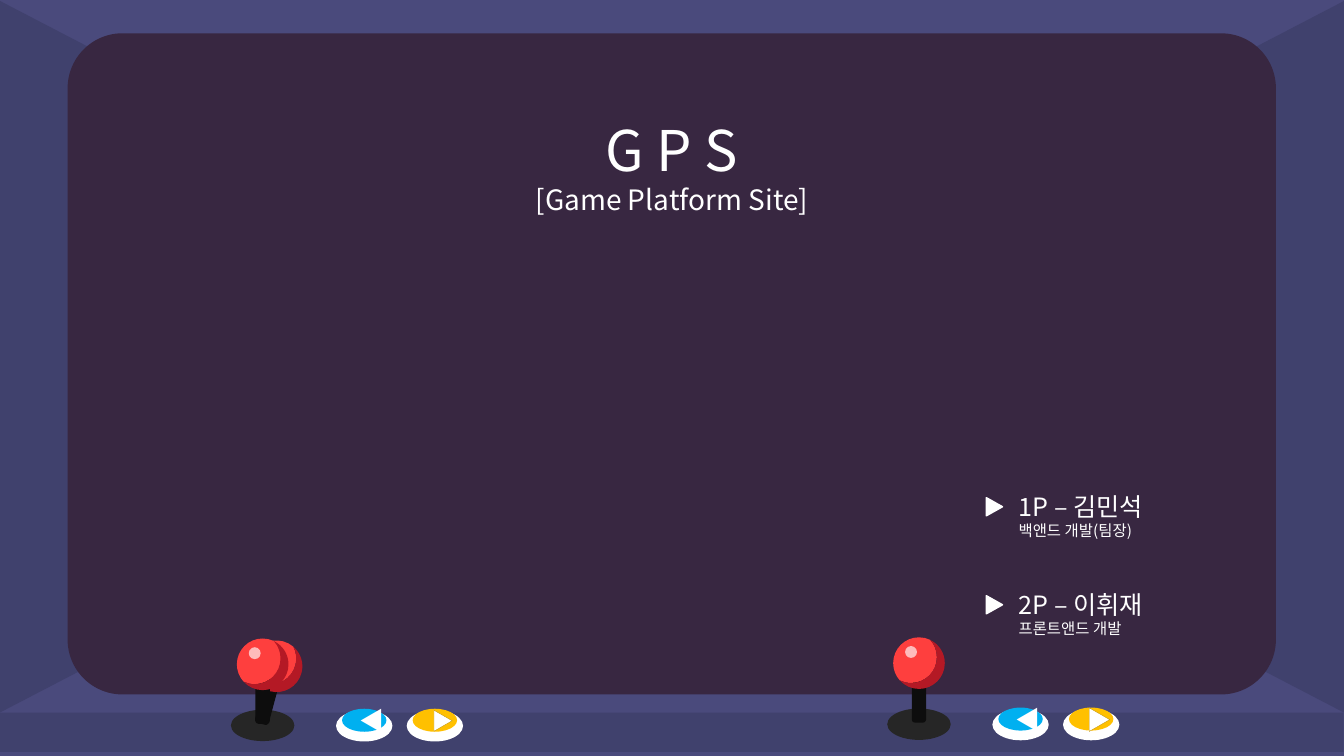
import math

from pptx import Presentation, util as u
from pptx.dml.color import RGBColor
from pptx.enum import shapes, text
from pptx.oxml.ns import qn
from lxml import etree

FONT = "Noto Sans CJK KR"
WHITE, WALL, FRAME, SCREEN = "FFFFFF", "40416D", "4A4A7C", "382741"
RED, DARK_RED, BASE, STICK = "FE3F3E", "B41925", "262626", "0D0D0D"
BLUE, YELLOW, OUTLINE = "00B0F0", "FFC000", "BF9000"
MS = shapes.MSO_SHAPE
BALL_R = 0.65
SHADE_X, SHADE_Y = -0.2, -0.15


def rgb(value):
    """Turn a hex string into a colour."""
    return RGBColor.from_string(value)


def paint(sp, fill, line=None, alpha=None):
    """Fill a shape, set its outline and remove its shadow."""
    sp.shadow.inherit = False
    sp.fill.solid()
    sp.fill.fore_color.rgb = rgb(fill)
    if alpha:
        color = sp.fill._xPr.find(".//" + qn("a:srgbClr"))
        etree.SubElement(color, qn("a:alpha"), val=str(alpha * 1000))
    if line:
        sp.line.color.rgb = rgb(line)
        sp.line.width = u.Pt(1)
    else:
        sp.line.fill.background()
    return sp


def add_shape(s, kind, cx, cy, w, h, fill, rot=0, adj=None, **look):
    """Add a preset shape around its centre, in centimetres."""
    sp = s.shapes.add_shape(kind, u.Cm(cx - w / 2), u.Cm(cy - h / 2), u.Cm(w), u.Cm(h))
    sp.rotation = rot
    if adj is not None:
        sp.adjustments[0] = adj
    return paint(sp, fill, **look)


def add_text(p, content, size, color=WHITE, bold=None, align=None, outline=None):
    """Write one formatted run into a paragraph."""
    p.alignment = align
    r = p.add_run()
    r.text = content
    r.font.size = u.Pt(size)
    r.font.bold = bold
    r.font.name = FONT
    r.font.color.rgb = rgb(color)
    rpr = r._r.get_or_add_rPr()
    rpr.find(qn("a:latin")).addnext(etree.Element(qn("a:ea"), typeface=FONT))
    if outline:
        ln = etree.Element(qn("a:ln"), w=str(u.Pt(0.25)))
        fill = etree.SubElement(ln, qn("a:solidFill"))
        etree.SubElement(fill, qn("a:srgbClr"), val=outline)
        rpr.insert(0, ln)


def add_text_box(s, x, y, w, h, lines, align=None):
    """Add a text box with one paragraph for each (text, size) pair."""
    tf = s.shapes.add_textbox(u.Cm(x), u.Cm(y), u.Cm(w), u.Cm(h)).text_frame
    tf.word_wrap = True
    tf.auto_size = text.MSO_AUTO_SIZE.SHAPE_TO_FIT_TEXT
    for i, (content, size) in enumerate(lines):
        p = tf.add_paragraph() if i else tf.paragraphs[0]
        add_text(p, content, size, align=align)


def turn(x, y, tilt):
    """Rotate an offset clockwise by a tilt in degrees."""
    a = math.radians(tilt)
    return x * math.cos(a) - y * math.sin(a), x * math.sin(a) + y * math.cos(a)


def arc(cx, cy, start, end):
    """List Bezier points of a circular arc, split at the quarter turns."""
    quarters = [q for q in range(-360, 721, 90) if start < q < end]
    stops = [start, *quarters, end]
    points = [turn(BALL_R, 0, start)]
    for a, b in zip(stops, stops[1:]):
        k = BALL_R * 4 / 3 * math.tan(math.radians(b - a) / 4)
        points += [turn(BALL_R, k, a), turn(BALL_R, -k, b), turn(BALL_R, 0, b)]
    return [(cx + x, cy + y) for x, y in points]


def add_curve(s, x, y, points, fill, tilt):
    """Add a closed Bezier outline, tilted around the point x, y."""
    points = [(u.Cm(x + px), u.Cm(y + py)) for px, py in points]
    fb = s.shapes.build_freeform(*points[0], scale=1.0)
    fb.add_line_segments(points[1:], close=True)
    sp = paint(fb.convert_to_shape(), fill)
    lines = list(sp._element.iter(qn("a:lnTo")))
    for first, second, third in zip(lines[::3], lines[1::3], lines[2::3]):
        first.tag = qn("a:cubicBezTo")
        for line in (second, third):
            first.append(line[0])
            line.getparent().remove(line)
    dx, dy = sp.left + sp.width / 2 - u.Cm(x), sp.top + sp.height / 2 - u.Cm(y)
    tx, ty = turn(dx, dy, tilt)
    sp.left, sp.top = round(sp.left + tx - dx), round(sp.top + ty - dy)
    sp.rotation = tilt


def add_joystick(s, x, y, tilt=0):
    """Draw a stick and its shaded ball around the ball's centre."""
    dx, dy = turn(0, 0.6, tilt)
    add_shape(s, MS.ROUNDED_RECTANGLE, x + dx, y + dy, 0.36, 1.8, STICK, rot=tilt, adj=0.227)
    half = math.degrees(math.acos(math.hypot(SHADE_X, SHADE_Y) / 2 / BALL_R))
    lit = math.degrees(math.atan2(SHADE_Y, SHADE_X)) + 360
    edge = arc(SHADE_X, SHADE_Y, lit - 180 - half, lit - 180 + half)
    bright = arc(0, 0, lit - half, lit + half)
    dark = arc(0, 0, lit + half - 360, lit - half)
    add_curve(s, x, y, bright + edge[1:], RED, tilt)
    add_curve(s, x, y, dark + edge[-2::-1], DARK_RED, tilt)
    dx, dy = turn(-0.2, -0.28, tilt)
    add_shape(s, MS.OVAL, x + dx, y + dy, 0.3, 0.3, WHITE, rot=tilt, alpha=65)


def add_button(s, x, y, fill, arrow, size, outline=None):
    """Draw a flat button with an arrow on its cap."""
    add_shape(s, MS.OVAL, x, y, 1.42, 0.79, WHITE)
    tf = add_shape(s, MS.OVAL, x, y - 0.14, 1.12, 0.58, fill).text_frame
    tf.word_wrap = False
    tf.vertical_anchor = text.MSO_ANCHOR.MIDDLE
    tf.margin_left = u.Cm(0.38)
    tf.margin_right = tf.margin_top = tf.margin_bottom = 0
    add_text(tf.paragraphs[0], arrow, size, bold=True, align=text.PP_ALIGN.CENTER, outline=outline)


def add_controls(s, x, y, arrow_size, tilted=False):
    """Draw one player's joystick and buttons."""
    add_shape(s, MS.OVAL, x, y + 1.54, 1.6, 0.79, BASE)
    if tilted:
        add_joystick(s, x + 0.35, y + 0.05, tilt=15)
    add_joystick(s, x, y)
    add_button(s, x + 2.56, y + 1.55, BLUE, "◀", 18)
    add_button(s, x + 4.34, y + 1.55, YELLOW, "▶", arrow_size, OUTLINE)


def add_cabinet(s):
    """Draw the cabinet walls and the screen."""
    add_shape(s, MS.RECTANGLE, 16.93, 18.45, 33.87, 0.99, WALL)
    for x, rot in ((3.53, 90), (30.34, 270)):
        add_shape(s, MS.TRAPEZOID, x, 8.99, 17.93, 7.06, WALL, rot=rot, adj=0.52)
    add_shape(s, MS.ROUNDED_RECTANGLE, 16.93, 9.17, 30.45, 16.66, SCREEN, adj=0.083)


def add_player(s, y, width, name, role):
    """Add a player's marker, name and role."""
    add_shape(s, MS.ISOSCELES_TRIANGLE, 25.06, y + 0.52, 0.46, 0.41, WHITE, rot=90, line=WHITE)
    add_text_box(s, 25.42, y, width, 1.5, [(name, 18), (role, 11)])


def main():
    """Build the title slide."""
    prs = Presentation()
    prs.slide_width, prs.slide_height = u.Cm(33.87), u.Cm(19.05)
    s = prs.slides.add_slide(prs.slide_layouts[6])
    s.background.fill.solid()
    s.background.fill.fore_color.rgb = rgb(FRAME)
    add_cabinet(s)
    add_controls(s, 6.62, 16.74, 16, tilted=True)
    add_controls(s, 23.16, 16.71, 18)
    title = [("G P S", 40), ("[Game Platform Site]", 20)]
    add_text_box(s, 1.71, 2.79, 30.45, 2.82, title, align=text.PP_ALIGN.CENTER)
    add_player(s, 12.25, 5.72, "1P – 김민석", "백앤드 개발(팀장)")
    add_player(s, 14.72, 4.7, "2P – 이휘재", "프론트앤드 개발")
    prs.save("out.pptx")


main()
